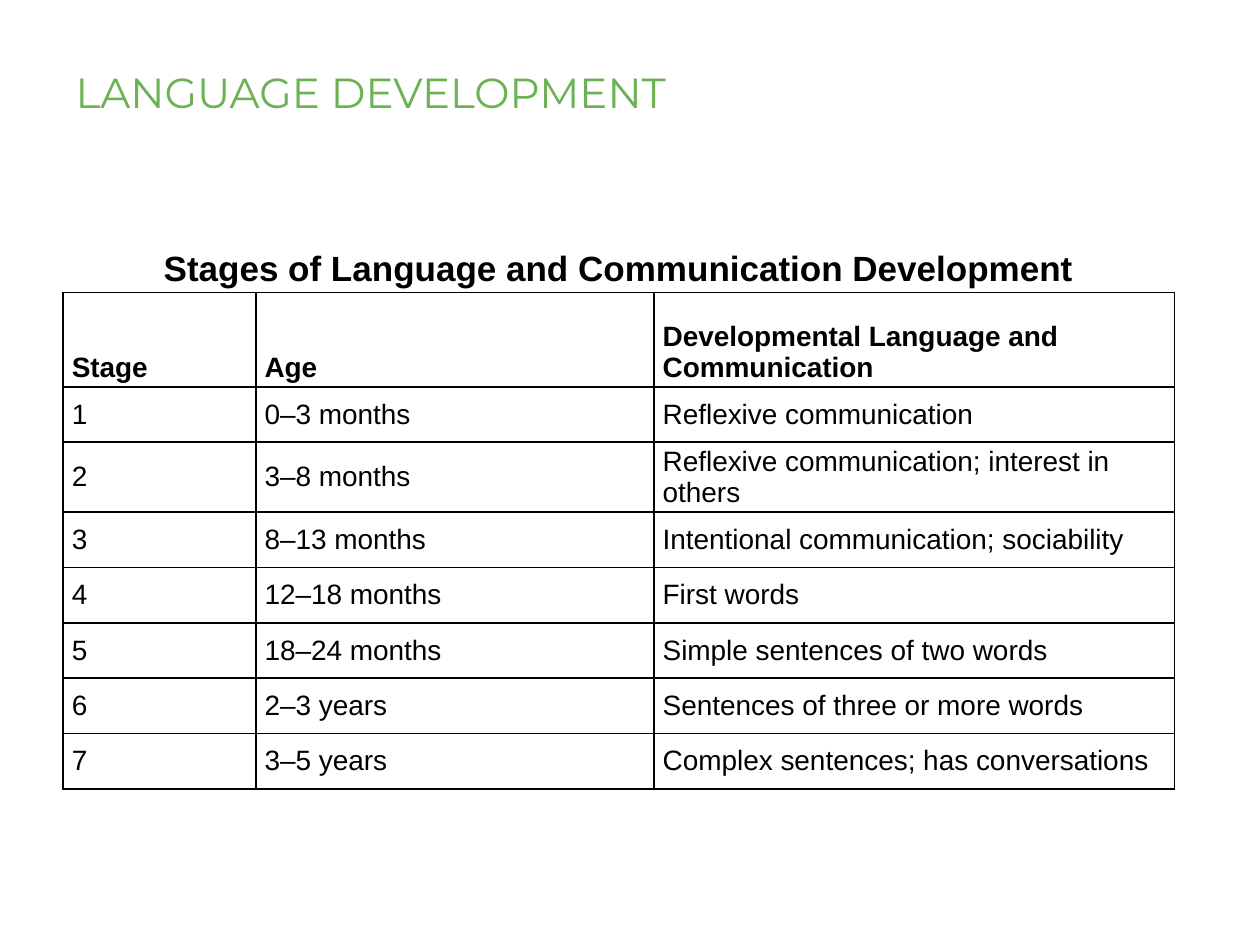
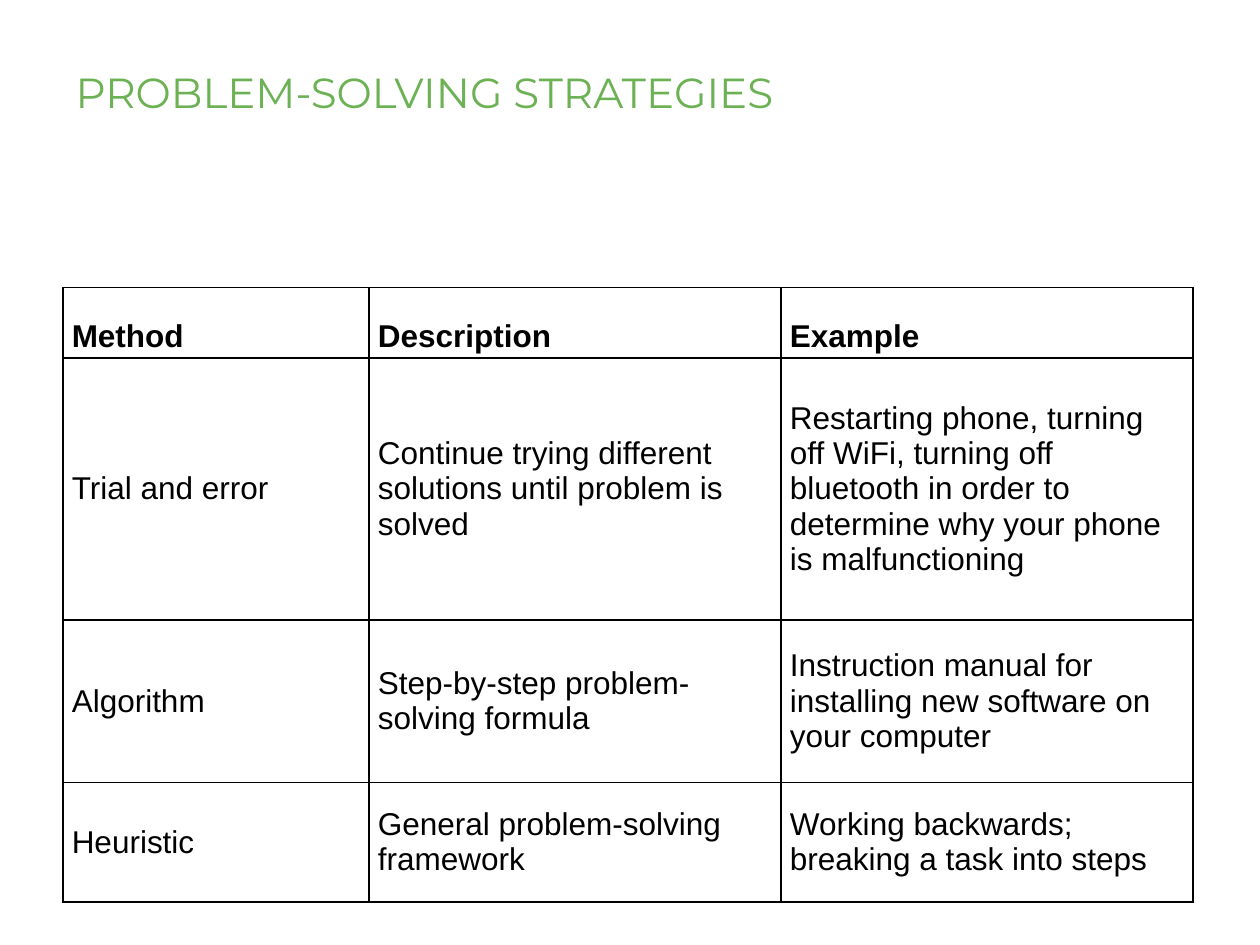
from lxml.etree import SubElement
from pptx import Presentation
from pptx.dml.color import RGBColor
from pptx.enum.text import MSO_ANCHOR as Anchor, PP_ALIGN as Align
from pptx.oxml.ns import qn
from pptx.util import Inches, Pt

GREEN = "6CB255"
BLACK = "000000"


def rgb(color):
    return RGBColor.from_string(color)


class Deck:
    title_font = "Montserrat"
    body_font = "Arial"
    left = Inches(0.5)

    def __init__(self):
        self.prs = Presentation()
        self.prs.slide_width = Inches(10)
        self.prs.slide_height = Inches(7.5)
        self.slide = None

    def add_slide(self, title):
        self.slide = self.prs.slides.add_slide(self.prs.slide_layouts[5])
        sp = self.slide.shapes.title
        sp.left, sp.top = self.left, Inches(0.26)
        sp.width, sp.height = Inches(8.82), Inches(0.72)
        tf = sp.text_frame
        tf.text = title
        tf.vertical_anchor = Anchor.BOTTOM
        p = tf.paragraphs[0]
        p.alignment = Align.LEFT
        self.style_font(p.font, self.title_font, 24, GREEN)

    def style_font(self, font, name, size, color, bold=False):
        font.name, font.size, font.bold = name, Pt(size), bold
        font.color.rgb = rgb(color)

    def set_borders(self, cell, visible):
        tc_pr = cell._tc.get_or_add_tcPr()
        for side in "LRTB":
            ln = SubElement(tc_pr, qn(f"a:ln{side}"), w=str(Pt(1)))
            if side in visible:
                fill = SubElement(ln, qn("a:solidFill"))
                SubElement(fill, qn("a:srgbClr"), val=BLACK)
            else:
                SubElement(ln, qn("a:noFill"))

    def fill_cell(self, cell, text, size, bold, anchor, align, borders):
        self.set_borders(cell, borders)
        cell.fill.background()
        cell.margin_left = cell.margin_right = Inches(0.07)
        cell.margin_top = cell.margin_bottom = Inches(0.03)
        cell.vertical_anchor = anchor
        p = cell.text_frame.paragraphs[0]
        p.text = text
        p.alignment = align
        self.style_font(p.font, self.body_font, size, BLACK, bold)

    def add_table(self, top, widths, heights, caption, rows, size):
        rows = [(caption, "", ""), *rows]
        frame = self.slide.shapes.add_table(
            len(rows), len(widths), self.left, Inches(top),
            Inches(sum(widths)), Inches(sum(heights)))
        table = frame.table
        table.first_row = table.horz_banding = False
        for column, width in zip(table.columns, widths):
            column.width = Inches(width)
        for row, height in zip(table.rows, heights):
            row.height = Inches(height)
        for i, texts in enumerate(rows):
            is_caption, is_heading = i == 0, i <= 1
            for cell, text in zip(table.rows[i].cells, texts):
                self.fill_cell(
                    cell, text,
                    size=20 if is_caption else size,
                    bold=is_heading,
                    anchor=Anchor.BOTTOM if is_heading else Anchor.MIDDLE,
                    align=Align.CENTER if is_caption else Align.LEFT,
                    borders="B" if is_caption else "LRTB")
        table.cell(0, 0).merge(table.cell(0, len(widths) - 1))


STAGES = [
    ("Stage", "Age", "Developmental Language and Communication"),
    ("1", "0–3 months", "Reflexive communication"),
    ("2", "3–8 months", "Reflexive communication; interest in others"),
    ("3", "8–13 months", "Intentional communication; sociability"),
    ("4", "12–18 months", "First words"),
    ("5", "18–24 months", "Simple sentences of two words"),
    ("6", "2–3 years", "Sentences of three or more words"),
    ("7", "3–5 years", "Complex sentences; has conversations"),
]

STRATEGIES = [
    ("Method", "Description", "Example"),
    ("Trial and error",
     "Continue trying different solutions until problem is solved",
     "Restarting phone, turning off WiFi, turning off bluetooth in order to "
     "determine why your phone is malfunctioning"),
    ("Algorithm", "Step-by-step problem-solving formula",
     "Instruction manual for installing new software on your computer"),
    ("Heuristic", "General problem-solving framework",
     "Working backwards; breaking a task into steps"),
]


def main():
    deck = Deck()
    deck.add_slide("LANGUAGE DEVELOPMENT")
    deck.add_table(1.88, [1.53, 3.16, 4.13], [0.44, 0.75] + [0.44] * 7,
                   "Stages of Language and Communication Development",
                   STAGES, 16)
    deck.add_slide("PROBLEM-SOLVING STRATEGIES")
    deck.add_table(1.72, [2.43, 3.27, 3.27], [0.56, 0.56, 2.08, 1.29, 0.95],
                   "", STRATEGIES, 18)
    deck.prs.save("out.pptx")


if __name__ == "__main__":
    main()
